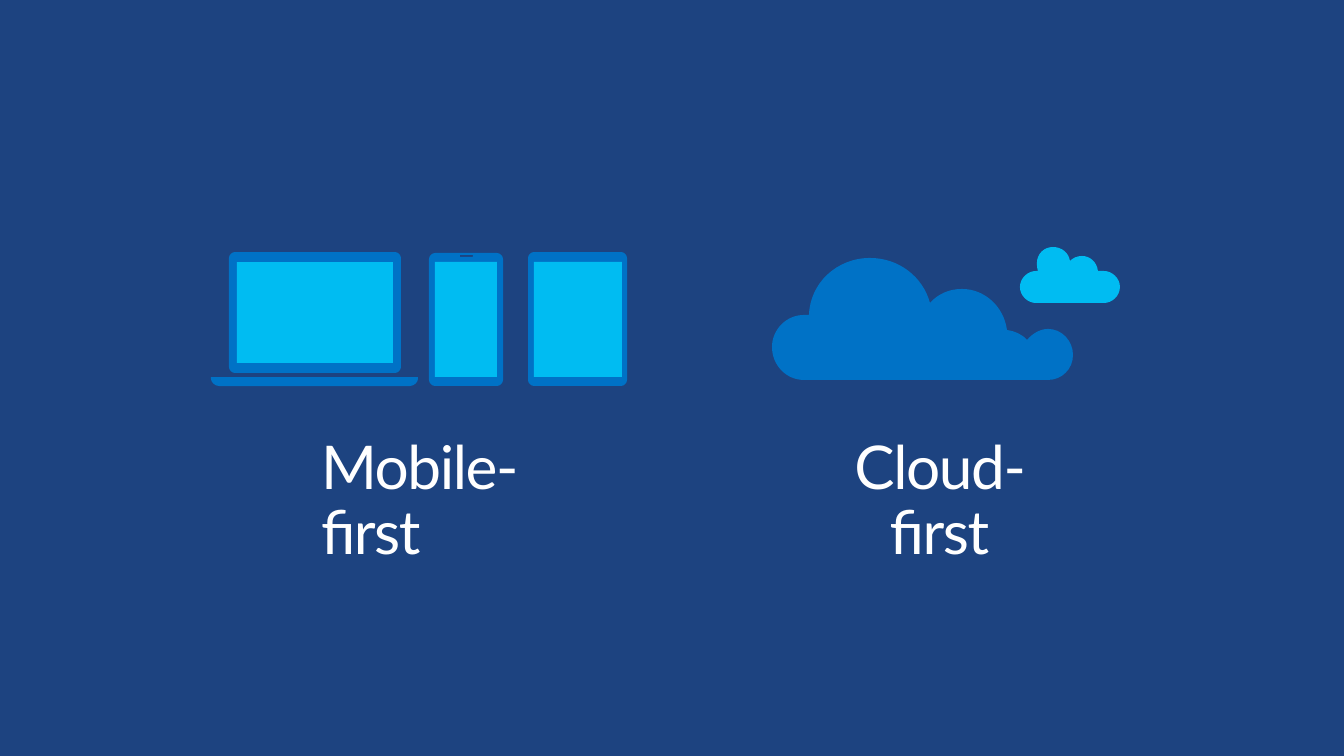
from lxml import etree
from pptx import Presentation
from pptx.dml.color import RGBColor
from pptx.enum.shapes import MSO_SHAPE
from pptx.enum.text import MSO_ANCHOR, PP_ALIGN
from pptx.oxml.ns import qn
from pptx.util import Pt

RECTANGLE = MSO_SHAPE.RECTANGLE
LEFT, CENTER = PP_ALIGN.LEFT, PP_ALIGN.CENTER
TOP = MSO_ANCHOR.TOP

PX = 914400 / 100.8
NAVY, BLUE, CYAN, WHITE = "1D4380", "0072C6", "00BCF2", "FFFFFF"
CORNER = 6


def paint(shape, color):
    shape.shadow.inherit = False
    shape.fill.solid()
    shape.fill.fore_color.rgb = RGBColor.from_string(color)
    shape.line.fill.background()


def add_outline(shapes, color, segments, hole=()):
    """Draw a closed outline of lines (one point) and cubic curves (three points)."""
    start = segments[-1][-1]
    builder = shapes.build_freeform(*start, scale=PX)
    builder.add_line_segments([segment[-1] for segment in segments], close=True)
    if hole:
        builder.move_to(*hole[0])
        builder.add_line_segments(hole[1:], close=True)
    shape = builder.convert_to_shape()
    paint(shape, color)
    left, top = (min(segment[-1][axis] for segment in segments) for axis in (0, 1))
    lines = list(shape._element.iter(qn("a:lnTo")))
    for line, segment in zip(lines, segments):
        if len(segment) == 3:
            line.clear()
            line.tag = qn("a:cubicBezTo")
            for x, y in segment:
                etree.SubElement(line, qn("a:pt"), x=str(x - left), y=str(y - top))


presentation = Presentation()
presentation.slide_width = round(1344 * PX)
presentation.slide_height = round(756 * PX)
slide = presentation.slides.add_slide(presentation.slide_layouts[6])
slide.background.fill.solid()
slide.background.fill.fore_color.rgb = RGBColor.from_string(NAVY)

# Clouds
big_cloud = [
    [(806, 315), (807, 315), (809, 315)],
    [(810, 283), (837, 258), (870, 258)],
    [(899, 258), (923, 277), (930, 303)],
    [(938, 294), (949, 289), (962, 289)],
    [(985, 289), (1004, 307), (1007, 330)],
    [(1014, 331), (1022, 334), (1027, 340)],
    [(1032, 334), (1040, 329), (1048, 329)],
    [(1062, 329), (1073, 341), (1073, 355)],
    [(1073, 369), (1062, 380), (1048, 380)],
    [(804, 380)],
    [(786, 380), (772, 365), (772, 347)],
    [(772, 330), (786, 315), (804, 315)],
]
small_cloud = [
    [(1038, 271)],
    [(1037, 268), (1037, 266), (1037, 263)],
    [(1037, 254), (1044, 247), (1053, 247)],
    [(1062, 247), (1069, 253), (1070, 261)],
    [(1073, 258), (1077, 256), (1082, 256)],
    [(1090, 256), (1097, 262), (1098, 271)],
    [(1100, 271), (1102, 271), (1104, 271)],
    [(1112, 271), (1120, 278), (1120, 287)],
    [(1120, 296), (1112, 303), (1104, 303)],
    [(1036, 303)],
    [(1028, 303), (1020, 296), (1020, 287)],
    [(1020, 278), (1028, 271), (1036, 271)],
]
clouds = slide.shapes.add_group_shape()
add_outline(clouds.shapes, BLUE, big_cloud)
add_outline(clouds.shapes, CYAN, small_cloud)

# Laptop base, then the rounded bodies of laptop, phone and tablet
laptop_base = [
    [(418, 379)],
    [(418, 382), (414, 386), (410, 386)],
    [(219, 386)],
    [(215, 386), (211, 382), (211, 379)],
    [(211, 377)],
    [(418, 377)],
]
speaker_slot = [(460, 255), (473, 255), (473, 257), (460, 257)]
devices = slide.shapes.add_group_shape()
add_outline(devices.shapes, BLUE, laptop_base)
for left, top, right, bottom, hole in (
    (229, 252, 401, 373, ()),
    (429, 253, 503, 386, speaker_slot),
    (528, 252, 627, 386, ()),
):
    body = [
        [(left + CORNER, top)],
        [(left + 3, top), (left, top + 3), (left, top + CORNER)],
        [(left, bottom - CORNER)],
        [(left, bottom - 3), (left + 3, bottom), (left + CORNER, bottom)],
        [(right - CORNER, bottom)],
        [(right - 3, bottom), (right, bottom - 3), (right, bottom - CORNER)],
        [(right, top + CORNER)],
        [(right, top + 3), (right - 3, top), (right - CORNER, top)],
    ]
    add_outline(devices.shapes, BLUE, body, hole)

# Screens of tablet, phone and laptop
for left, width, height in ((534, 88, 115), (435, 62, 115), (237, 156, 101)):
    screen = slide.shapes.add_shape(
        RECTANGLE, *(round(length * PX) for length in (left, 262, width, height)))
    paint(screen, CYAN)

# Captions
for caption, left, width, inset, alignment in (
    ("Mobile-first", 262, 313, 59, LEFT),
    ("Cloud-first", 794, 291, 20, CENTER),
):
    text_box = slide.shapes.add_textbox(
        *(round(length * PX) for length in (left, 421, width, 98)))
    frame = text_box.text_frame
    frame.word_wrap = True
    frame.vertical_anchor = TOP
    frame.margin_left = round(inset * PX)
    frame.margin_right = round(20 * PX)
    frame.margin_top = frame.margin_bottom = round(16 * PX)
    paragraph = frame.paragraphs[0]
    paragraph.alignment = alignment
    paragraph.line_spacing = 0.9
    paragraph.space_after = Pt(5.9)
    run = paragraph.add_run()
    run.text = caption
    run.font.name = "Lato"
    run.font.size = Pt(43.1)
    run.font.color.rgb = RGBColor.from_string(WHITE)
    run._r.get_or_add_rPr().set("spc", "-100")

presentation.save("out.pptx")
